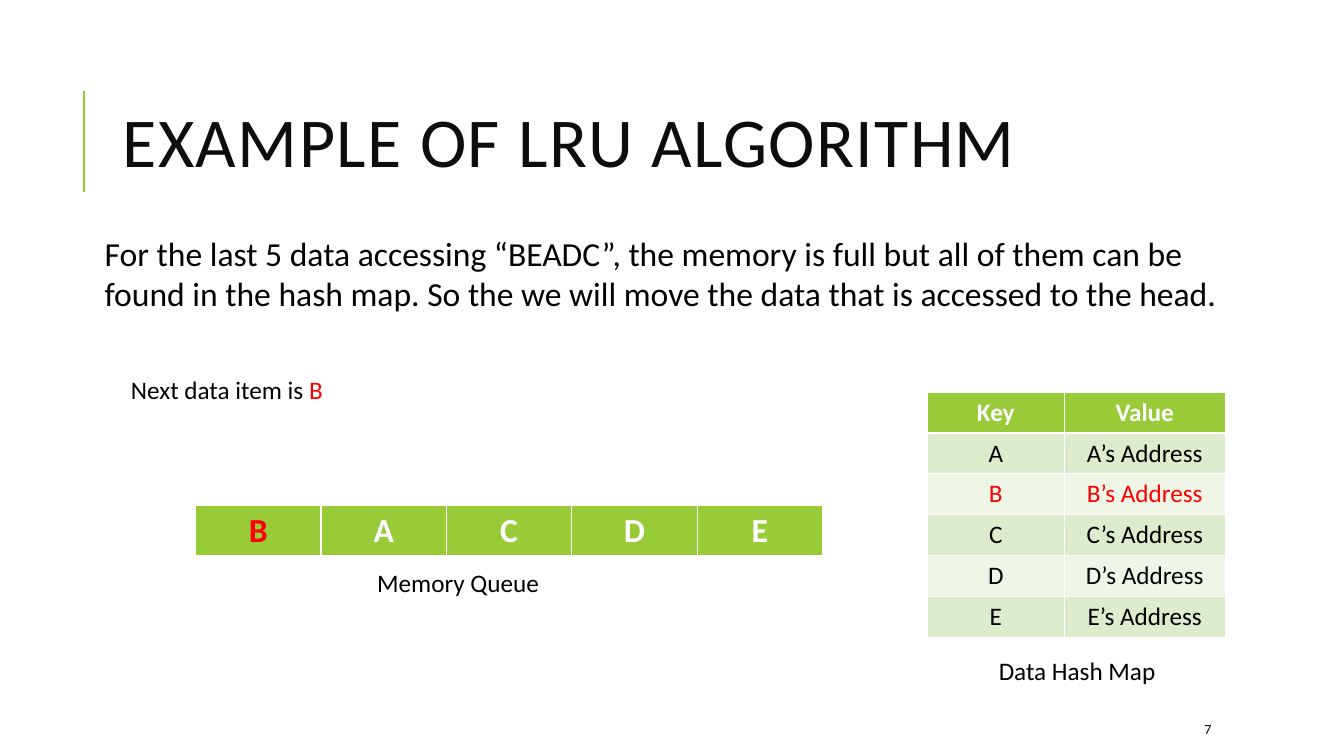
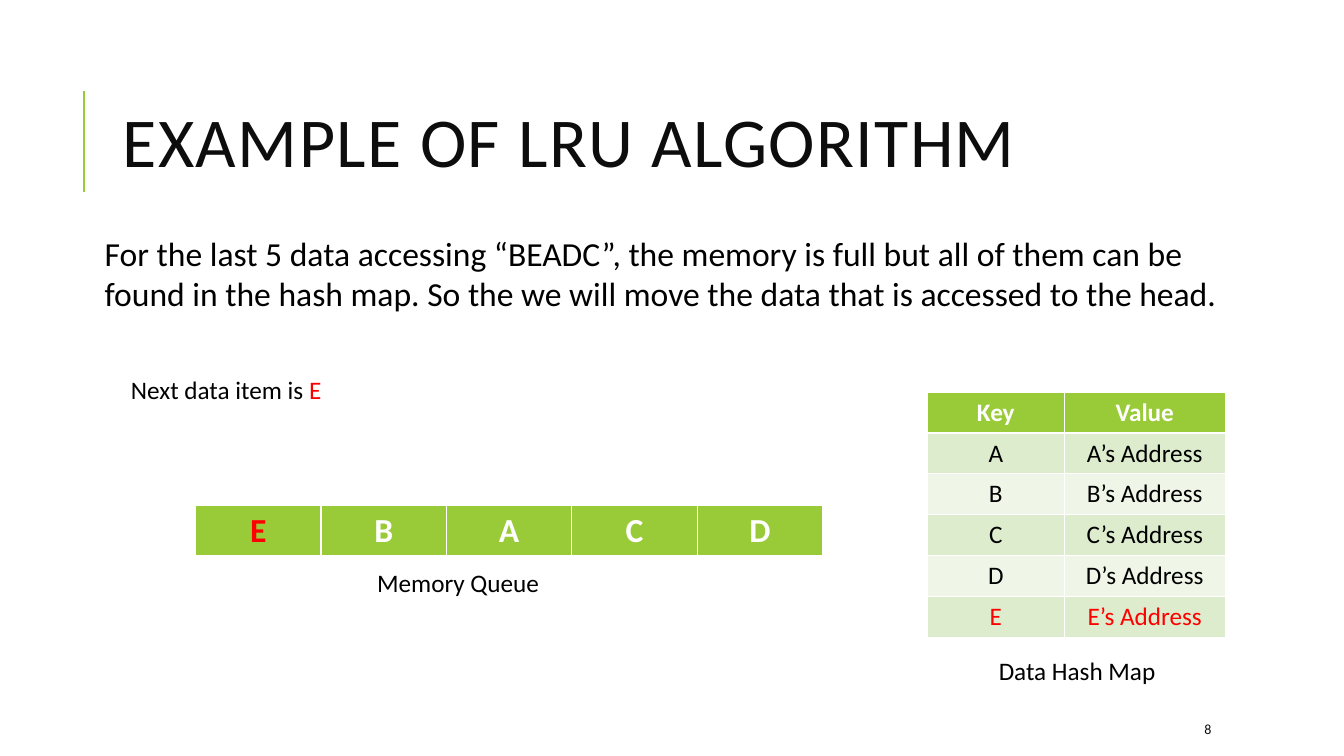
"""Build two slides that step through an LRU cache example."""
from lxml.etree import SubElement
from pptx import Presentation
from pptx.dml.color import RGBColor
from pptx.enum.shapes import MSO_CONNECTOR
from pptx.enum.text import MSO_ANCHOR, PP_ALIGN
from pptx.oxml.ns import qn
from pptx.util import Cm, Pt

TITLE = "EXAMPLE OF LRU ALGORITHM"
EXPLANATION = (
    "For the last 5 data accessing “BEADC”, the memory is full but all of them can be "
    "found in the hash map. So the we will move the data that is accessed to the head."
)
NEXT_LABEL = "Next data item is "
QUEUE_CAPTION = "Memory Queue"
MAP_CAPTION = "Data Hash Map"
MAP_HEADER = ("Key", "Value")
KEYS = "ABCDE"
STEPS = [
    {"number": "7", "queue": "BACDE"},
    {"number": "8", "queue": "EBACD"},
]

FONT = "Calibri"
COLORS = {
    "accent": "99CB38",
    "title": "0D0D0D",
    "text": "000000",
    "light": "FFFFFF",
    "highlight": "FF0000",
    "band_dark": "DEECCE",
    "band_light": "EFF6E8",
}

SLIDE_SIZE = (33.87, 19.05)
RULE = (2.11, 4.83, 2.11, 2.29)
TITLE_BOX = (2.84, 1.63, 27, 4.17)
EXPLANATION_BOX = (2.39, 5.74, 28.63, 2.31)
NEXT_BOX = (3.05, 9.32, 8.26, 1.02)
QUEUE_CAPTION_BOX = (7.9, 14.17, 7.29, 1.02)
MAP_CAPTION_BOX = (23.5, 16.38, 7.29, 1.02)
NUMBER_BOX = (30.1, 17.98, 2.69, 0.76)
QUEUE_ORIGIN = (4.93, 12.73)
QUEUE_COLUMN, QUEUE_ROW = 3.16, 1.27
MAP_ORIGIN = (23.37, 9.88)
MAP_COLUMNS, MAP_ROW = (3.45, 4.06), 1.03


def to_cm(values):
    return [Cm(value) for value in values]


def color(name):
    return RGBColor.from_string(COLORS[name])


def style(paragraph, size, color_name="text", bold=False, align=PP_ALIGN.LEFT):
    paragraph.alignment = align
    font = paragraph.font
    font.name, font.size, font.bold = FONT, Pt(size), bold
    font.color.rgb = color(color_name)


def add_text(slide, box, text, size=18, color_name="text", align=PP_ALIGN.LEFT,
             anchor=MSO_ANCHOR.TOP):
    frame = slide.shapes.add_textbox(*to_cm(box)).text_frame
    frame.word_wrap = True
    frame.vertical_anchor = anchor
    paragraph = frame.paragraphs[0]
    paragraph.add_run().text = text
    style(paragraph, size, color_name, align=align)
    return paragraph


def add_title(slide):
    title = slide.shapes.title
    title.left, title.top, title.width, title.height = to_cm(TITLE_BOX)
    title.text_frame.text = TITLE
    title.text_frame.vertical_anchor = MSO_ANCHOR.MIDDLE
    paragraph = title.text_frame.paragraphs[0]
    paragraph.line_spacing = 0.8
    style(paragraph, 50, "title")
    paragraph.runs[0]._r.get_or_add_rPr().set("spc", "100")


def add_rule(slide):
    rule = slide.shapes.add_connector(MSO_CONNECTOR.STRAIGHT, *to_cm(RULE))
    rule.line.color.rgb = color("accent")
    rule.line.width = Pt(1.5)
    SubElement(rule._element.spPr, qn("a:effectLst"))


def add_table(slide, origin, columns, row_height, rows, size):
    """Add a table whose rows are (texts, fill, text colour, bold) tuples or lists of cells."""
    extent = (sum(columns), row_height * len(rows))
    table = slide.shapes.add_table(
        len(rows), len(columns), *to_cm(origin + extent)).table
    for column, width in zip(table.columns, columns):
        column.width = Cm(width)
    for row, cells in zip(table.rows, rows):
        row.height = Cm(row_height)
        for cell, (text, fill, color_name, bold) in zip(row.cells, cells):
            cell.fill.solid()
            cell.fill.fore_color.rgb = color(fill)
            cell.text = text
            style(cell.text_frame.paragraphs[0], size, color_name, bold, PP_ALIGN.CENTER)


def queue_rows(queue):
    return [[(item, "accent", "light" if index else "highlight", True)
             for index, item in enumerate(queue)]]


def map_rows(current):
    rows = [[(text, "accent", "light", True) for text in MAP_HEADER]]
    for index, key in enumerate(KEYS):
        fill = "band_light" if index % 2 else "band_dark"
        color_name = "highlight" if key == current else "text"
        rows.append([(text, fill, color_name, False)
                     for text in (key, f"{key}’s Address")])
    return rows


def add_step(presentation, number, queue):
    slide = presentation.slides.add_slide(presentation.slide_layouts[5])
    current = queue[0]
    add_rule(slide)
    add_title(slide)
    add_text(slide, NUMBER_BOX, number, 10, "title", anchor=MSO_ANCHOR.MIDDLE)
    add_text(slide, EXPLANATION_BOX, EXPLANATION, 24)
    add_table(slide, MAP_ORIGIN, MAP_COLUMNS, MAP_ROW, map_rows(current), 18)
    add_table(slide, QUEUE_ORIGIN, (QUEUE_COLUMN,) * len(queue), QUEUE_ROW,
              queue_rows(queue), 24)
    add_text(slide, QUEUE_CAPTION_BOX, QUEUE_CAPTION, align=PP_ALIGN.CENTER)
    add_text(slide, MAP_CAPTION_BOX, MAP_CAPTION, align=PP_ALIGN.CENTER)
    item = add_text(slide, NEXT_BOX, NEXT_LABEL).add_run()
    item.text = current
    item.font.color.rgb = color("highlight")


def main():
    presentation = Presentation()
    presentation.slide_width, presentation.slide_height = to_cm(SLIDE_SIZE)
    for step in STEPS:
        add_step(presentation, **step)
    presentation.save("out.pptx")


if __name__ == "__main__":
    main()
